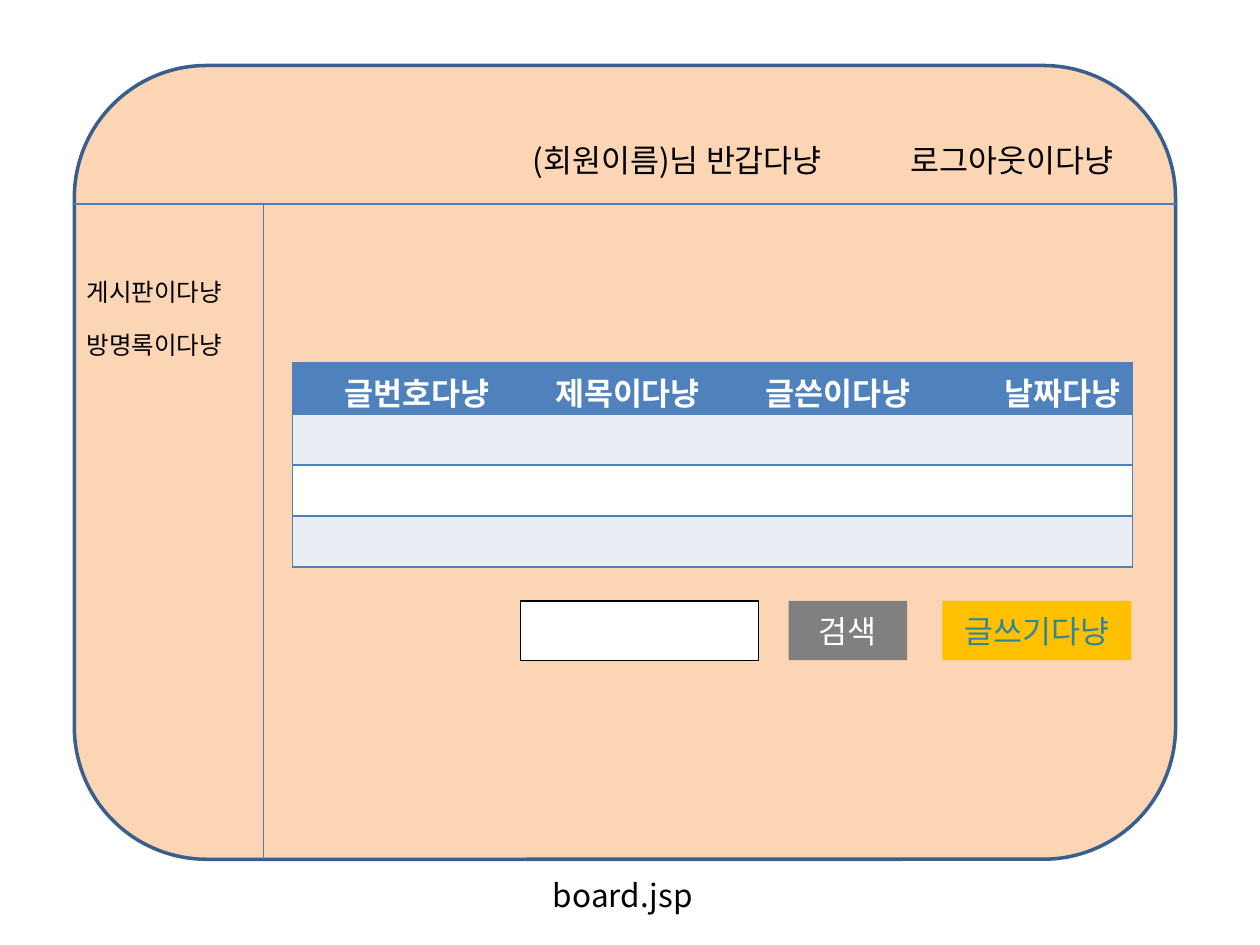
from dataclasses import dataclass

from lxml import etree
from pptx import Presentation
from pptx.dml.color import RGBColor
from pptx.enum.shapes import MSO_CONNECTOR, MSO_SHAPE
from pptx.enum.text import MSO_ANCHOR, PP_ALIGN
from pptx.oxml.ns import qn
from pptx.util import Inches, Pt

RECT = MSO_SHAPE.RECTANGLE
ROUND_RECT = MSO_SHAPE.ROUNDED_RECTANGLE
STRAIGHT = MSO_CONNECTOR.STRAIGHT
MIDDLE = MSO_ANCHOR.MIDDLE
LEFT, CENTER, RIGHT = PP_ALIGN.LEFT, PP_ALIGN.CENTER, PP_ALIGN.RIGHT


@dataclass(frozen=True)
class Theme:
    font: str = "Noto Sans CJK KR"
    body: int = 18
    menu: int = 14
    black: str = "000000"
    white: str = "FFFFFF"
    panel: str = "FCD5B5"
    panel_edge: str = "3A5F8C"
    divider: str = "4B7EBC"
    table: str = "4F81BD"
    band: str = "E9EDF4"
    search: str = "808080"
    post: str = "FFC000"
    post_text: str = "31859C"


class Page:
    def __init__(self, slide, theme):
        self.slide = slide
        self.theme = theme

    def set_text(self, tf, text, size, color, align=LEFT, bold=False):
        p = tf.paragraphs[0]
        p.text = text
        p.alignment = align
        p.font.size = Pt(size)
        p.font.bold = bold
        p.font.color.rgb = RGBColor.from_string(color)
        p.font.name = self.theme.font
        props = p._p.pPr.find(qn("a:defRPr"))
        etree.SubElement(props, qn("a:ea"), typeface=self.theme.font)

    def label(self, x, y, w, h, text, size):
        sp = self.slide.shapes.add_textbox(Inches(x), Inches(y), Inches(w), Inches(h))
        sp.text_frame.word_wrap = True
        self.set_text(sp.text_frame, text, size, self.theme.black)

    def box(self, kind, x, y, w, h, fill, edge=None, weight=0.75):
        sp = self.slide.shapes.add_shape(kind, Inches(x), Inches(y), Inches(w), Inches(h))
        sp.shadow.inherit = False
        sp.fill.solid()
        sp.fill.fore_color.rgb = RGBColor.from_string(fill)
        if edge:
            sp.line.color.rgb = RGBColor.from_string(edge)
            sp.line.width = Pt(weight)
        else:
            sp.line.fill.background()
        return sp

    def button(self, x, y, w, h, text, fill, color):
        tf = self.box(RECT, x, y, w, h, fill).text_frame
        tf.vertical_anchor = MIDDLE
        self.set_text(tf, text, self.theme.body, color, CENTER)

    def line(self, x1, y1, x2, y2):
        cn = self.slide.shapes.add_connector(
            STRAIGHT, Inches(x1), Inches(y1), Inches(x2), Inches(y2))
        cn.line.color.rgb = RGBColor.from_string(self.theme.divider)
        cn.line.width = Pt(0.75)
        etree.SubElement(cn._element.spPr, qn("a:effectLst"))

    def borders(self, cell, sides):
        """Draw the named sides (letters of LRTB) and clear the others."""
        props = cell._tc.get_or_add_tcPr()
        for side in "LRTB":
            ln = etree.SubElement(props, qn(f"a:ln{side}"), w=str(Pt(1)))
            if side in sides:
                fill = etree.SubElement(ln, qn("a:solidFill"))
                etree.SubElement(fill, qn("a:srgbClr"), val=self.theme.table)
            else:
                etree.SubElement(ln, qn("a:noFill"))

    def table(self, x, y, w, h, headers, rows):
        t = self.theme
        last = len(headers) - 1
        table = self.slide.shapes.add_table(
            rows, len(headers), Inches(x), Inches(y), Inches(w), Inches(h)).table
        for r in range(rows):
            color = t.table if r == 0 else t.band if r % 2 else t.white
            for c, header in enumerate(headers):
                cell = table.cell(r, c)
                self.borders(cell, "TB" + "L" * (c == 0) + "R" * (c == last))
                cell.fill.solid()
                cell.fill.fore_color.rgb = RGBColor.from_string(color)
                if r == 0:
                    self.set_text(cell.text_frame, header, t.body, t.white, RIGHT, True)


def main():
    prs = Presentation()
    prs.slide_width, prs.slide_height = Inches(10), Inches(7.5)
    t = Theme()
    page = Page(prs.slides.add_slide(prs.slide_layouts[6]), t)

    left, top, width, height = 0.59, 0.52, 8.74, 6.3
    header_y, menu_x = 1.62, 2.09
    page.box(ROUND_RECT, left, top, width, height, t.panel, t.panel_edge, 2)
    page.line(left, header_y, left + width, header_y)
    page.line(menu_x, header_y, menu_x, top + height)

    for i, item in enumerate(["게시판이다냥", "방명록이다냥"]):
        page.label(left, 2.15 + 0.42 * i, 1.73, 0.34, item, t.menu)
    page.label(4.29, 6.9, 1.89, 0.71, "board.jsp", t.body)
    page.label(4.13, 1.07, 3.54, 0.4, "(회원이름)님 반갑다냥", t.body)
    page.label(7.13, 1.07, 2.05, 0.4, "로그아웃이다냥", t.body)

    headers = ["글번호다냥", "제목이다냥", "글쓴이다냥", "날짜다냥"]
    page.table(2.32, 2.88, 6.67, 1.62, headers, rows=4)

    form_y, form_h = 4.77, 0.47
    page.box(RECT, 4.13, form_y, 1.89, form_h, t.white, t.black)
    page.button(6.26, form_y, 0.94, form_h, "검색", t.search, t.white)
    page.button(7.48, form_y, 1.5, form_h, "글쓰기다냥", t.post, t.post_text)

    prs.save("out.pptx")


if __name__ == "__main__":
    main()
